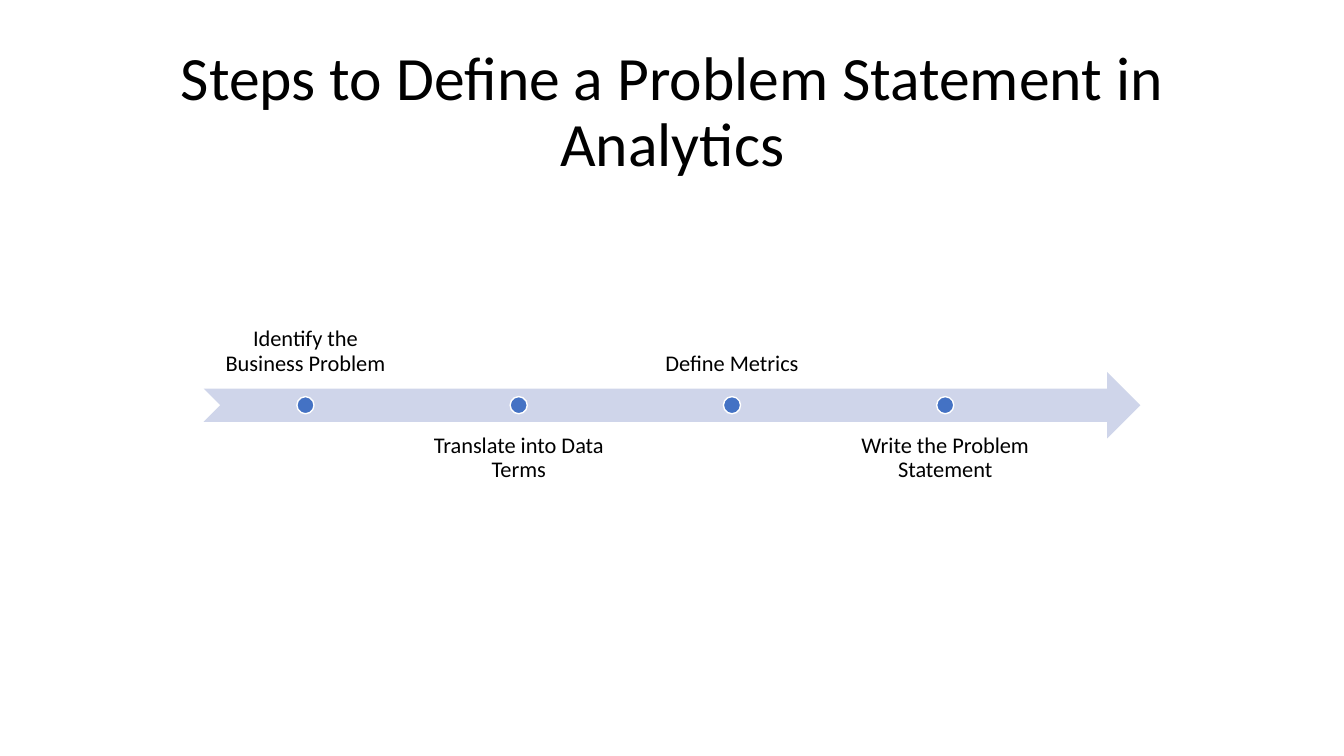
"""Build a one-slide timeline of the steps that define a problem statement."""
from dataclasses import dataclass

from pptx import Presentation
from pptx.dml.color import RGBColor
from pptx.enum.shapes import MSO_SHAPE as SHAPE
from pptx.enum.text import MSO_ANCHOR as ANCHOR, PP_ALIGN as ALIGN
from pptx.util import Inches, Pt

TITLE = "Steps to Define a Problem Statement in Analytics"
STEPS = [
    ("Identify the Business Problem", 1.9),
    ("Translate into Data Terms", 2.01),
    ("Define Metrics", 2.01),
    ("Write the Problem Statement", 2.01),
]


@dataclass(frozen=True)
class Theme:
    font: str = "Calibri"
    title_size: int = 44
    label_size: int = 16
    text: str = "000000"
    arrow: str = "CFD5EA"
    dot: str = "4472C4"
    outline: str = "FFFFFF"


THEME = Theme()
SLIDE_W, SLIDE_H = 13.33, 7.5
TITLE_BOX = (0.92, 0.4, 11.5, 1.45)
ARROW_LEFT, ARROW_W, ROW_H = 2.02, 9.29, 0.66
AXIS_Y = 4.02
FIRST_X, PITCH = 3.03, 2.115
DOT = 0.17
LABEL_OFFSET = 0.17
LABEL_INSET = 0.12


def add_text(shapes, text, box, size, anchor, inset_x, inset_y):
    tf = shapes.add_textbox(*map(Inches, box)).text_frame
    tf.word_wrap = True
    tf.vertical_anchor = anchor
    tf.margin_left = tf.margin_right = Inches(inset_x)
    tf.margin_top = tf.margin_bottom = Inches(inset_y)
    p = tf.paragraphs[0]
    p.text = text
    p.alignment = ALIGN.CENTER
    p.line_spacing = 0.9
    p.font.name = THEME.font
    p.font.size = Pt(size)
    p.font.color.rgb = RGBColor.from_string(THEME.text)


def add_filled(shapes, kind, box, fill, outline=None):
    sp = shapes.add_shape(kind, *map(Inches, box))
    sp.shadow.inherit = False
    sp.fill.solid()
    sp.fill.fore_color.rgb = RGBColor.from_string(fill)
    if outline:
        sp.line.color.rgb = RGBColor.from_string(outline)
        sp.line.width = Pt(1)
    else:
        sp.line.fill.background()


def add_timeline(shapes):
    arrow_box = (ARROW_LEFT, AXIS_Y - ROW_H / 2, ARROW_W, ROW_H)
    add_filled(shapes, SHAPE.NOTCHED_RIGHT_ARROW, arrow_box, THEME.arrow)
    for i, (label, width) in enumerate(STEPS):
        x = FIRST_X + i * PITCH
        above = i % 2 == 0
        top = AXIS_Y - LABEL_OFFSET - ROW_H if above else AXIS_Y + LABEL_OFFSET
        add_text(shapes, label, (x - width / 2, top, width, ROW_H), THEME.label_size,
                 ANCHOR.BOTTOM if above else ANCHOR.TOP, LABEL_INSET, LABEL_INSET)
        dot_box = (x - DOT / 2, AXIS_Y - DOT / 2, DOT, DOT)
        add_filled(shapes, SHAPE.OVAL, dot_box, THEME.dot, THEME.outline)


def main():
    prs = Presentation()
    prs.slide_width, prs.slide_height = Inches(SLIDE_W), Inches(SLIDE_H)
    s = prs.slides.add_slide(prs.slide_layouts[6])
    add_text(s.shapes, TITLE, TITLE_BOX, THEME.title_size, ANCHOR.MIDDLE, 0.1, 0.05)
    add_timeline(s.shapes.add_group_shape().shapes)
    prs.save("out.pptx")


if __name__ == "__main__":
    main()
